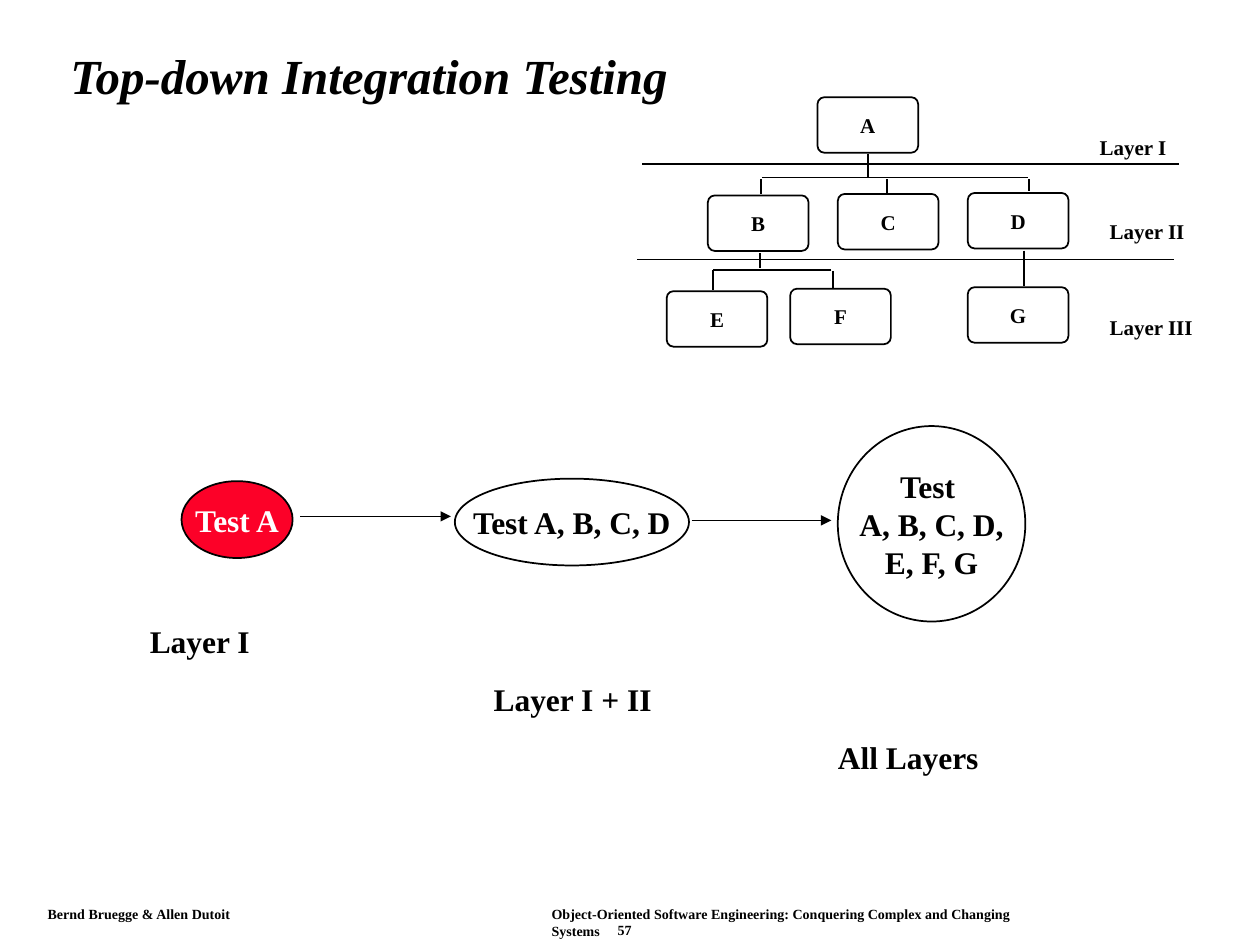
"""Build the top-down integration testing slide."""
import pptx
import pptx.util
import pptx.dml.color
import pptx.enum.shapes
import pptx.enum.text
import pptx.oxml
import pptx.oxml.ns
from pptx.util import Cm

BLACK = pptx.dml.color.RGBColor(0x00, 0x00, 0x00)
WHITE = pptx.dml.color.RGBColor(0xFF, 0xFF, 0xFF)
RED = pptx.dml.color.RGBColor(0xFC, 0x01, 0x28)
SHAPE = pptx.enum.shapes.MSO_SHAPE
ALIGN = pptx.enum.text.PP_ALIGN
ANCHOR = pptx.enum.text.MSO_ANCHOR

prs = pptx.Presentation()
prs.slide_width, prs.slide_height = Cm(25.4), Cm(19.05)
s = prs.slides.add_slide(prs.slide_layouts[6])


def set_text(sp, text, size, color=BLACK, align=ALIGN.LEFT, anchor=ANCHOR.TOP):
    tf = sp.text_frame
    tf.text = text
    tf.word_wrap = False
    tf.vertical_anchor = anchor
    for p in tf.paragraphs:
        p.alignment = align
        for r in p.runs:
            r.font.name = "Times New Roman"
            r.font.size = pptx.util.Pt(size)
            r.font.bold = True
            r.font.color.rgb = color
    return tf


def add_line(x1, y1, x2, y2):
    sp = s.shapes.add_connector(
        pptx.enum.shapes.MSO_CONNECTOR.STRAIGHT, Cm(x1), Cm(y1), Cm(x2), Cm(y2))
    sp.line.color.rgb = BLACK
    sp.line.width = pptx.util.Pt(1)
    pptx.oxml.ns.qn("a:effectLst")
    sp.element.spPr.append(
        sp.element.makeelement(pptx.oxml.ns.qn("a:effectLst"), {}))
    return sp


title = s.shapes.add_textbox(Cm(1.17), Cm(0.61), Cm(22.66), Cm(1.96))
tf = set_text(title, "Top-down Integration Testing", 28, anchor=ANCHOR.MIDDLE)
tf.word_wrap = True
tf.paragraphs[0].line_spacing = 0.9
tf.paragraphs[0].runs[0].font.italic = True

tree_lines = [
    (17.5, 3.1, 17.5, 3.56),
    (15.37, 3.58, 20.73, 3.58),
    (15.34, 3.61, 15.34, 3.91),
    (17.88, 3.61, 17.88, 3.89),
    (20.75, 3.61, 20.75, 3.86),
    (15.32, 5.11, 15.32, 5.41),
    (16.76, 5.44, 14.38, 5.44),
    (14.38, 5.44, 14.38, 5.84),
    (16.79, 5.46, 16.79, 5.82),
    (20.65, 5.05, 20.65, 5.77),
]
layer_lines = [(12.95, 3.3, 23.77, 3.3), (12.85, 5.23, 23.67, 5.23)]
for ends in tree_lines + layer_lines:
    add_line(*ends)

for ends in [(6.05, 10.41, 9.09, 10.41), (13.94, 10.49, 16.76, 10.49)]:
    ln = add_line(*ends).line._get_or_add_ln()
    ln.append(ln.makeelement(pptx.oxml.ns.qn("a:tailEnd"), {"type": "triangle"}))

modules = [
    ("A", 16.48, 1.96),
    ("B", 14.27, 3.94), ("C", 16.89, 3.91), ("D", 19.51, 3.89),
    ("E", 13.44, 5.87), ("F", 15.93, 5.82), ("G", 19.51, 5.79),
]
nodes = [(SHAPE.ROUNDED_RECTANGLE, name, x, y, 2.03, 1.12, 12, None)
         for name, x, y in modules]
nodes += [
    (SHAPE.OVAL, "Test A", 3.66, 9.7, 2.24, 1.55, 18, RED),
    (SHAPE.OVAL, "Test A, B, C, D", 9.17, 9.65, 4.72, 1.75, 18, None),
    (SHAPE.OVAL, "Test \nA, B, C, D,\nE, F, G", 16.89, 8.59, 3.78, 3.94, 18, None),
]
for kind, text, x, y, w, h, size, fill in nodes:
    sp = s.shapes.add_shape(kind, Cm(x), Cm(y), Cm(w), Cm(h))
    sp.shadow.inherit = False
    sp.line.color.rgb = BLACK
    sp.line.width = pptx.util.Pt(1)
    if kind == SHAPE.ROUNDED_RECTANGLE:
        sp.adjustments[0] = 0.125
    if fill is None:
        sp.fill.background()
    else:
        sp.fill.solid()
        sp.fill.fore_color.rgb = fill
    set_text(sp, text, size, WHITE if fill else BLACK, ALIGN.CENTER, ANCHOR.MIDDLE)

labels = [
    ("Layer I", 21.92, 2.59, 1.85, 0.76, 12),
    ("Layer II", 22.12, 4.29, 2.03, 0.76, 12),
    ("Layer III", 22.12, 6.22, 2.18, 0.76, 12),
    ("Layer I", 2.77, 12.42, 2.54, 1.02, 18),
    ("Layer I + II", 9.7, 13.59, 3.71, 1.02, 18),
    ("All Layers", 16.64, 14.76, 3.35, 1.02, 18),
    ("Bernd Bruegge & Allen Dutoit", 0.71, 18.13, 4.2, 0.57, 8),
    ("Object-Oriented Software Engineering: Conquering Complex and Changing Systems",
     10.87, 18.13, 10.8, 0.57, 8),
    ("57", 12.2, 18.45, 0.8, 0.57, 8),
]
for text, x, y, w, h, size in labels:
    set_text(s.shapes.add_textbox(Cm(x), Cm(y), Cm(w), Cm(h)), text, size)

prs.save("out.pptx")
